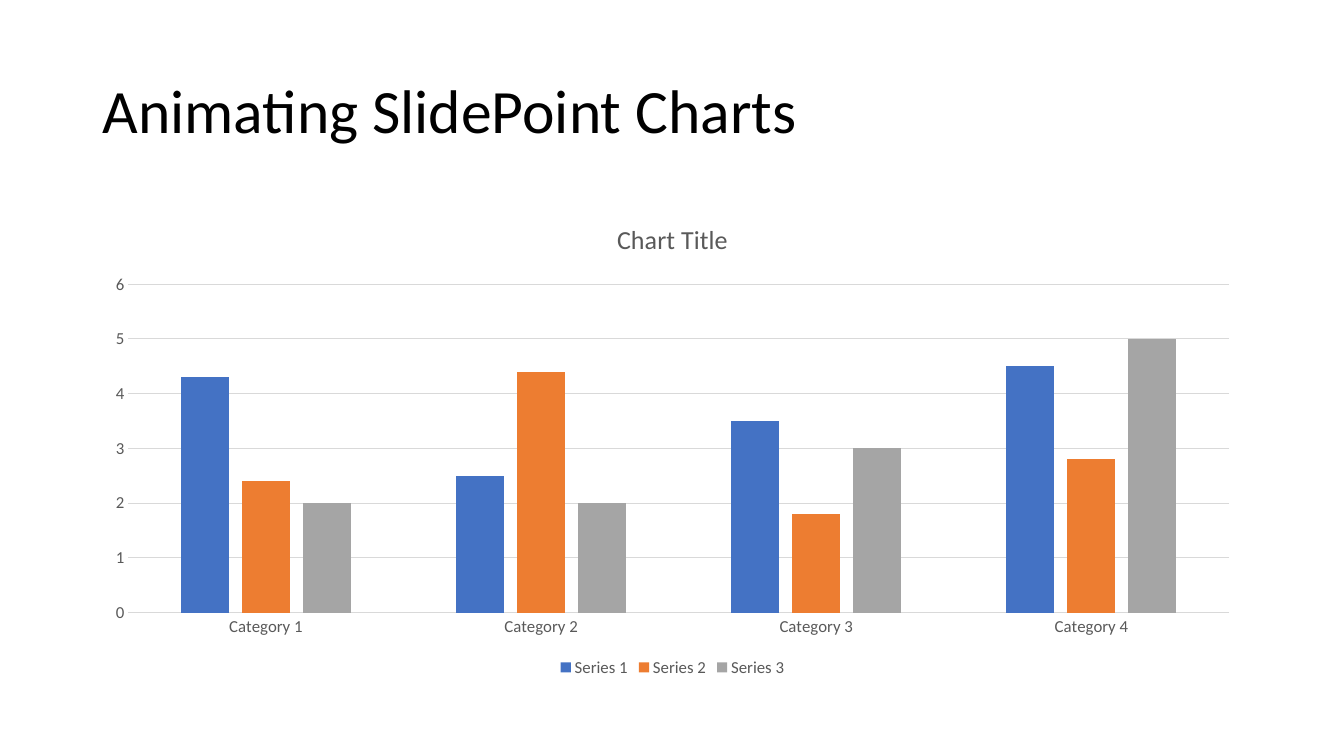
from pptx import Presentation
from pptx import util as u
from pptx.chart.data import CategoryChartData
from pptx.dml.color import RGBColor
from pptx.enum import chart as ch
from pptx.enum import text as t

FONT = "Calibri"
BLACK = RGBColor(0x00, 0x00, 0x00)
GRAY_TEXT = RGBColor(0x59, 0x59, 0x59)
GRID = RGBColor(0xD9, 0xD9, 0xD9)
BLUE = RGBColor(0x44, 0x72, 0xC4)
ORANGE = RGBColor(0xED, 0x7D, 0x31)
GRAY = RGBColor(0xA5, 0xA5, 0xA5)

CATEGORIES = ["Category 1", "Category 2", "Category 3", "Category 4"]
SERIES = [
    ("Series 1", (4.3, 2.5, 3.5, 4.5), BLUE),
    ("Series 2", (2.4, 4.4, 1.8, 2.8), ORANGE),
    ("Series 3", (2, 2, 3, 5), GRAY),
]


def style_font(font, size, color):
    """Give a font its face, size and colour, without bold."""
    font.name = FONT
    font.size = u.Pt(size)
    font.bold = False
    font.color.rgb = color


def write_text(frame, content, size, color, line_spacing=None):
    """Write one formatted paragraph into a text frame."""
    paragraph = frame.paragraphs[0]
    paragraph.line_spacing = line_spacing
    run = paragraph.add_run()
    run.text = content
    style_font(run.font, size, color)


def style_line(line):
    """Draw a thin light line."""
    line.color.rgb = GRID
    line.width = u.Pt(0.75)


def add_title(slide, left, top, width, height):
    """Place the slide title, centred vertically in its box."""
    box = slide.shapes.add_textbox(left, top, width, height)
    frame = box.text_frame
    frame.word_wrap = True
    frame.vertical_anchor = t.MSO_ANCHOR.MIDDLE
    write_text(frame, "Animating SlidePoint Charts", 44, BLACK, line_spacing=0.9)


def style_axes(chart):
    """Format both axes and the horizontal gridlines."""
    for axis in (chart.category_axis, chart.value_axis):
        axis.major_tick_mark = ch.XL_TICK_MARK.NONE
        axis.minor_tick_mark = ch.XL_TICK_MARK.NONE
        style_font(axis.tick_labels.font, 12, GRAY_TEXT)
    style_line(chart.category_axis.format.line)
    value_axis = chart.value_axis
    value_axis.minimum_scale = 0
    value_axis.maximum_scale = 6
    value_axis.major_unit = 1
    value_axis.format.line.fill.background()
    value_axis.has_major_gridlines = True
    style_line(value_axis.major_gridlines.format.line)


def add_column_chart(slide, left, top, width, height):
    """Place the clustered column chart with its title and legend."""
    data = CategoryChartData()
    data.categories = CATEGORIES
    for name, values, _ in SERIES:
        data.add_series(name, values)
    chart = slide.shapes.add_chart(
        ch.XL_CHART_TYPE.COLUMN_CLUSTERED, left, top, width, height, data
    ).chart
    style_font(chart.font, 10, BLACK)
    chart.has_title = True
    write_text(chart.chart_title.text_frame, "Chart Title", 18.6, GRAY_TEXT)
    chart.chart_title.include_in_layout = False
    chart.has_legend = True
    chart.legend.position = ch.XL_LEGEND_POSITION.BOTTOM
    chart.legend.include_in_layout = False
    style_font(chart.legend.font, 12, GRAY_TEXT)
    style_axes(chart)
    plot = chart.plots[0]
    plot.gap_width = 219
    plot.overlap = -27
    plot.vary_by_categories = False
    for series, (_, _, color) in zip(plot.series, SERIES):
        series.format.fill.solid()
        series.format.fill.fore_color.rgb = color


def main():
    """Build the slide and save it."""
    presentation = Presentation()
    presentation.slide_width = u.Inches(13.33)
    presentation.slide_height = u.Inches(7.5)
    slide = presentation.slides.add_slide(presentation.slide_layouts[6])
    left, width = u.Inches(0.92), u.Inches(11.5)
    add_title(slide, left, u.Inches(0.4), width, u.Inches(1.45))
    add_column_chart(slide, left, u.Inches(2), width, u.Inches(4.76))
    presentation.save("out.pptx")


if __name__ == "__main__":
    main()
